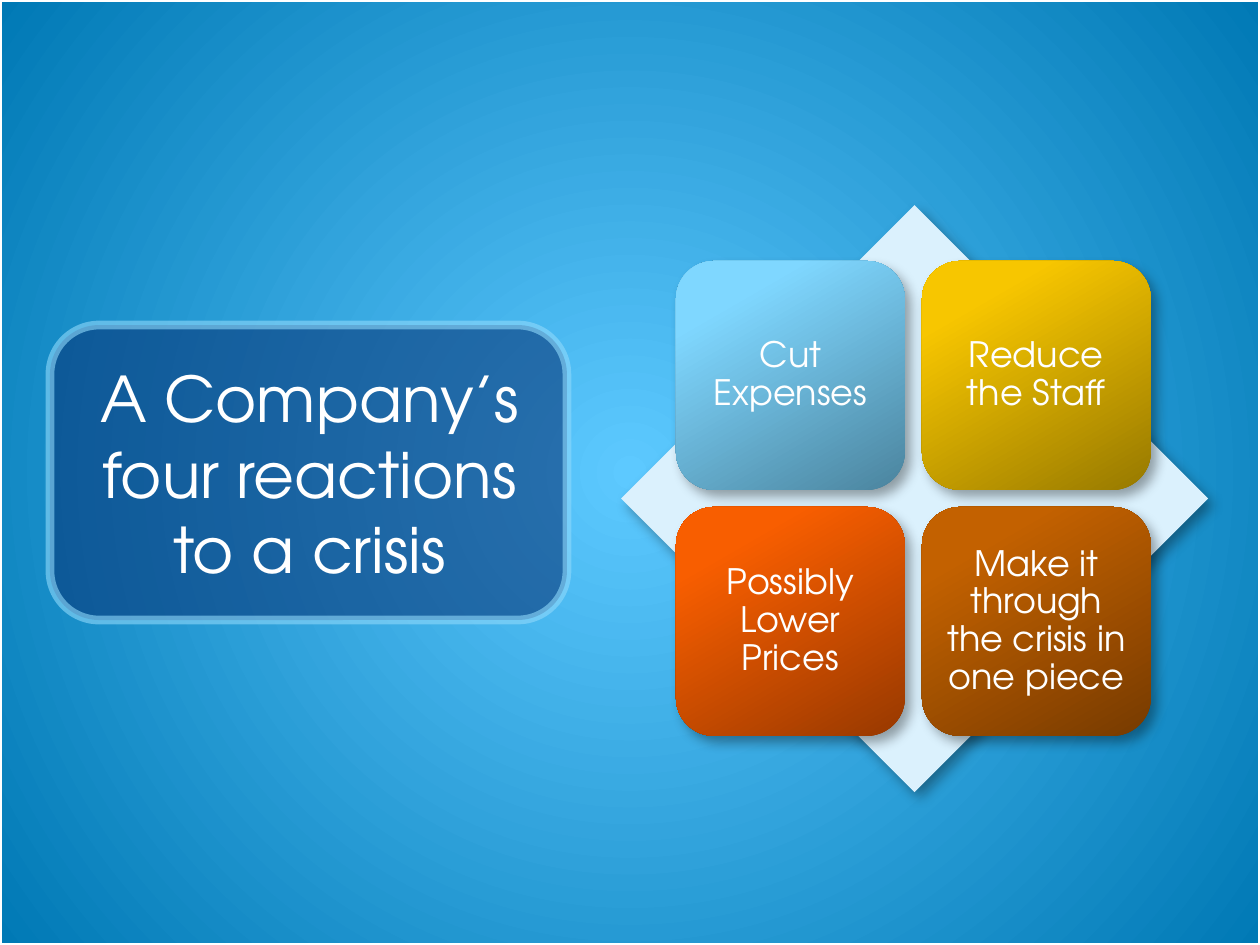
"""Build a slide that shows a company's four reactions to a crisis."""
from dataclasses import dataclass

from lxml.etree import SubElement
from pptx import Presentation
from pptx.dml.color import RGBColor
from pptx.enum.shapes import MSO_SHAPE as Preset
from pptx.enum.text import MSO_ANCHOR as Anchor, PP_ALIGN as Align
from pptx.oxml.ns import qn
from pptx.util import Pt

EMU_PER_PX = 914400 / 126
SLIDE_WIDTH, SLIDE_HEIGHT = 1260, 945
FONT = "TeX Gyre Adventor"
WHITE = "FFFFFF"
TILE_LEFT, TILE_TOP, TILE_SIZE, TILE_STEP = 676, 261, 229, 246


@dataclass(frozen=True)
class Box:
    left: int
    top: int
    width: int
    height: int


@dataclass(frozen=True)
class Tile:
    text: str
    dark: str
    middle: str
    light: str


TILES = [
    Tile("Cut Expenses", "4B849E", "7FD7FF", "81D7FF"),
    Tile("Reduce the Staff", "977900", "F7C600", "F8C700"),
    Tile("Possibly Lower Prices", "983900", "F85E00", "F95E00"),
    Tile("Make it through the crisis in one piece", "773B00", "C36100", "C46100"),
]


def px(length: int) -> int:
    """Turn pixels into EMU."""
    return round(length * EMU_PER_PX)


def color(value: str) -> RGBColor:
    """Turn a hex string into a colour."""
    return RGBColor.from_string(value)


def add_node(parent, tag: str, **attributes):
    """Append a drawing element with its attributes."""
    values = {name: str(value) for name, value in attributes.items()}
    return SubElement(parent, qn(tag), values)


def set_alpha(fill_parent, percent: int) -> None:
    """Make the solid fill held by an element translucent."""
    solid = fill_parent.find(qn("a:solidFill"))
    add_node(solid[0], "a:alpha", val=percent * 1000)


def set_gradient(fill_parent, stops: list[tuple[int, str]], angle: int | None = None) -> None:
    """Replace a solid fill by a linear gradient, or a radial one without an angle."""
    solid = fill_parent.find(qn("a:solidFill"))
    gradient = add_node(fill_parent, "a:gradFill", rotWithShape=1)
    fill_parent.replace(solid, gradient)
    stop_list = add_node(gradient, "a:gsLst")
    for position, value in stops:
        stop = add_node(stop_list, "a:gs", pos=position * 1000)
        add_node(stop, "a:srgbClr", val=value)
    if angle is None:
        circle = add_node(gradient, "a:path", path="circle")
        add_node(circle, "a:fillToRect", l=50000, t=50000, r=50000, b=50000)
    else:
        add_node(gradient, "a:lin", ang=angle * 60000, scaled=0)


def add_shadow(shape) -> None:
    """Give a shape a soft shadow to its lower right."""
    effects = shape.element.spPr.find(qn("a:effectLst"))
    shadow = add_node(effects, "a:outerShdw", blurRad=Pt(7), dist=Pt(5),
                      dir=50 * 60000, algn="tl", rotWithShape=0)
    tint = add_node(shadow, "a:srgbClr", val="000000")
    add_node(tint, "a:alpha", val=35000)


def place(shape, box: Box) -> None:
    """Move and size a shape."""
    shape.left, shape.top = px(box.left), px(box.top)
    shape.width, shape.height = px(box.width), px(box.height)


def add_block(slide, preset: Preset, box: Box, fill: str | None = None,
              line: str | None = None, line_width: int = 0):
    """Add a preset shape with a plain fill and outline."""
    shape = slide.shapes.add_shape(preset, 0, 0, 0, 0)
    place(shape, box)
    shape.shadow.inherit = False
    if fill:
        shape.fill.solid()
        shape.fill.fore_color.rgb = color(fill)
    else:
        shape.fill.background()
    if line:
        shape.line.color.rgb = color(line)
        shape.line.width = Pt(line_width)
    else:
        shape.line.fill.background()
    return shape


def write_text(shape, text: str, *, size: int, spacing: float = 1.0, inset: int = 13) -> None:
    """Write centred white text into a shape."""
    frame = shape.text_frame
    frame.word_wrap = True
    frame.vertical_anchor = Anchor.MIDDLE
    frame.margin_left = frame.margin_right = px(inset)
    frame.margin_top = frame.margin_bottom = px(min(inset, 10))
    paragraph = frame.paragraphs[0]
    paragraph.alignment = Align.CENTER
    paragraph.line_spacing = spacing
    run = paragraph.add_run()
    run.text = text
    run.font.name = FONT
    run.font.size = Pt(size)
    run.font.color.rgb = color(WHITE)


def add_background(slide) -> None:
    """Paint the radial background and the white frame."""
    slide.background.fill.solid()
    slide.background.fill.fore_color.rgb = color("0079B5")
    properties = slide.element.find(".//" + qn("p:bgPr"))
    set_gradient(properties, [(0, "5DC9FF"), (100, "0079B5")])
    add_block(slide, Preset.RECTANGLE, Box(0, 0, SLIDE_WIDTH, SLIDE_HEIGHT),
              line=WHITE, line_width=2)


def add_title(slide, text: str) -> None:
    """Put the title on its translucent panel."""
    panel = add_block(slide, Preset.ROUNDED_RECTANGLE, Box(50, 325, 517, 295),
                      fill="073779", line="8FD9FB", line_width=5)
    set_alpha(panel.element.spPr, 60)
    set_alpha(panel.element.spPr.find(qn("a:ln")), 60)
    title = slide.shapes.title
    place(title, Box(73, 347, 473, 252))
    write_text(title, text, size=36)
    panel.element.addnext(title.element)


def add_tile(slide, tile: Tile, index: int) -> None:
    """Add one tile of the two by two grid."""
    row, column = divmod(index, 2)
    box = Box(TILE_LEFT + column * TILE_STEP, TILE_TOP + row * TILE_STEP, TILE_SIZE, TILE_SIZE)
    shape = add_block(slide, Preset.ROUNDED_RECTANGLE, box, fill=tile.middle)
    set_gradient(shape.element.spPr,
                 [(0, tile.dark), (80, tile.middle), (100, tile.light)], angle=240)
    add_shadow(shape)
    write_text(shape, tile.text, size=20, spacing=0.9, inset=10)


def main() -> None:
    """Build and save the presentation."""
    presentation = Presentation()
    presentation.slide_width, presentation.slide_height = px(SLIDE_WIDTH), px(SLIDE_HEIGHT)
    slide = presentation.slides.add_slide(presentation.slide_layouts[5])
    add_background(slide)
    add_title(slide, "A Company’s four reactions to a crisis")
    diamond = add_block(slide, Preset.DIAMOND, Box(621, 205, 587, 587), fill="DBF1FD")
    add_shadow(diamond)
    for index, tile in enumerate(TILES):
        add_tile(slide, tile, index)
    presentation.save("out.pptx")


if __name__ == "__main__":
    main()
